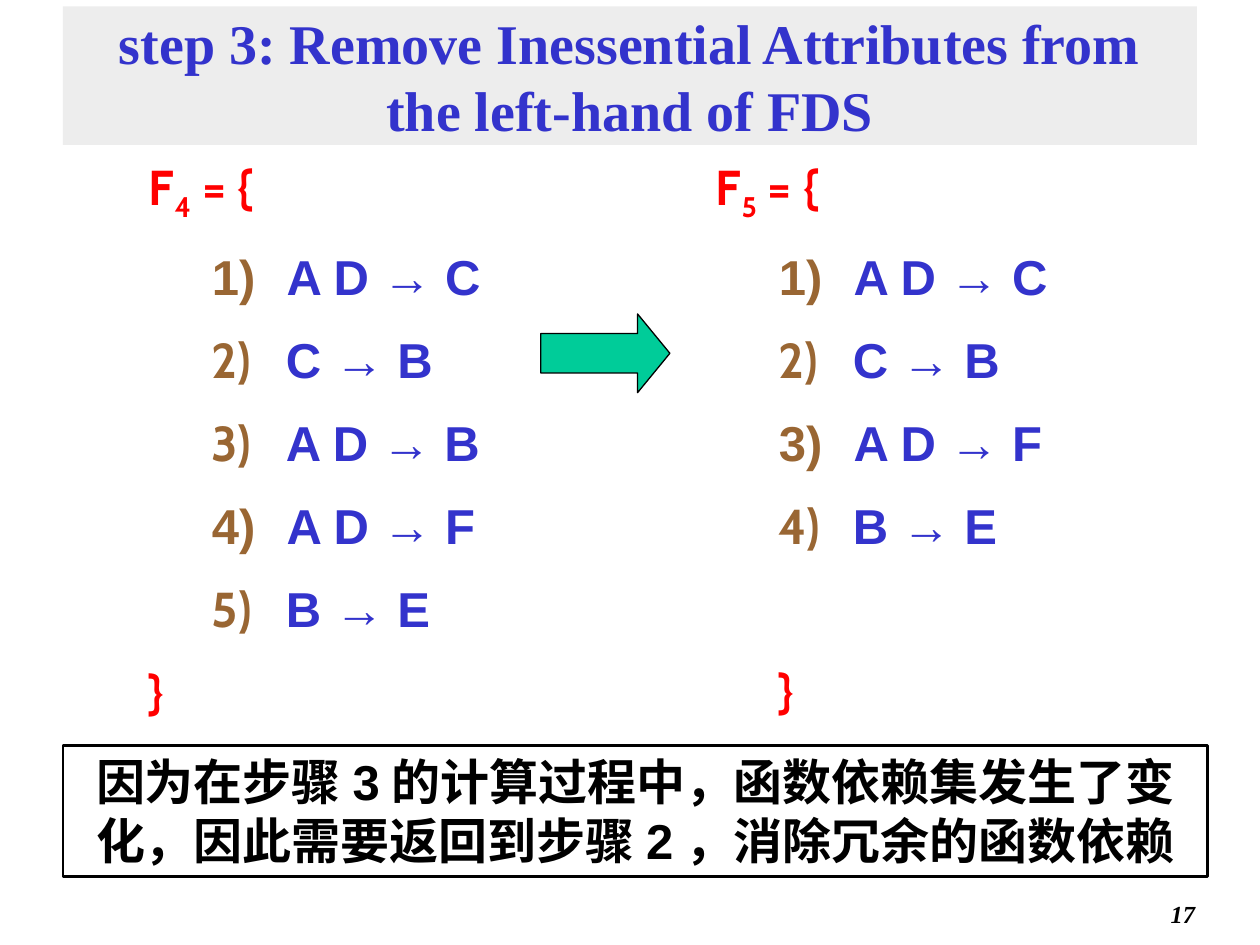
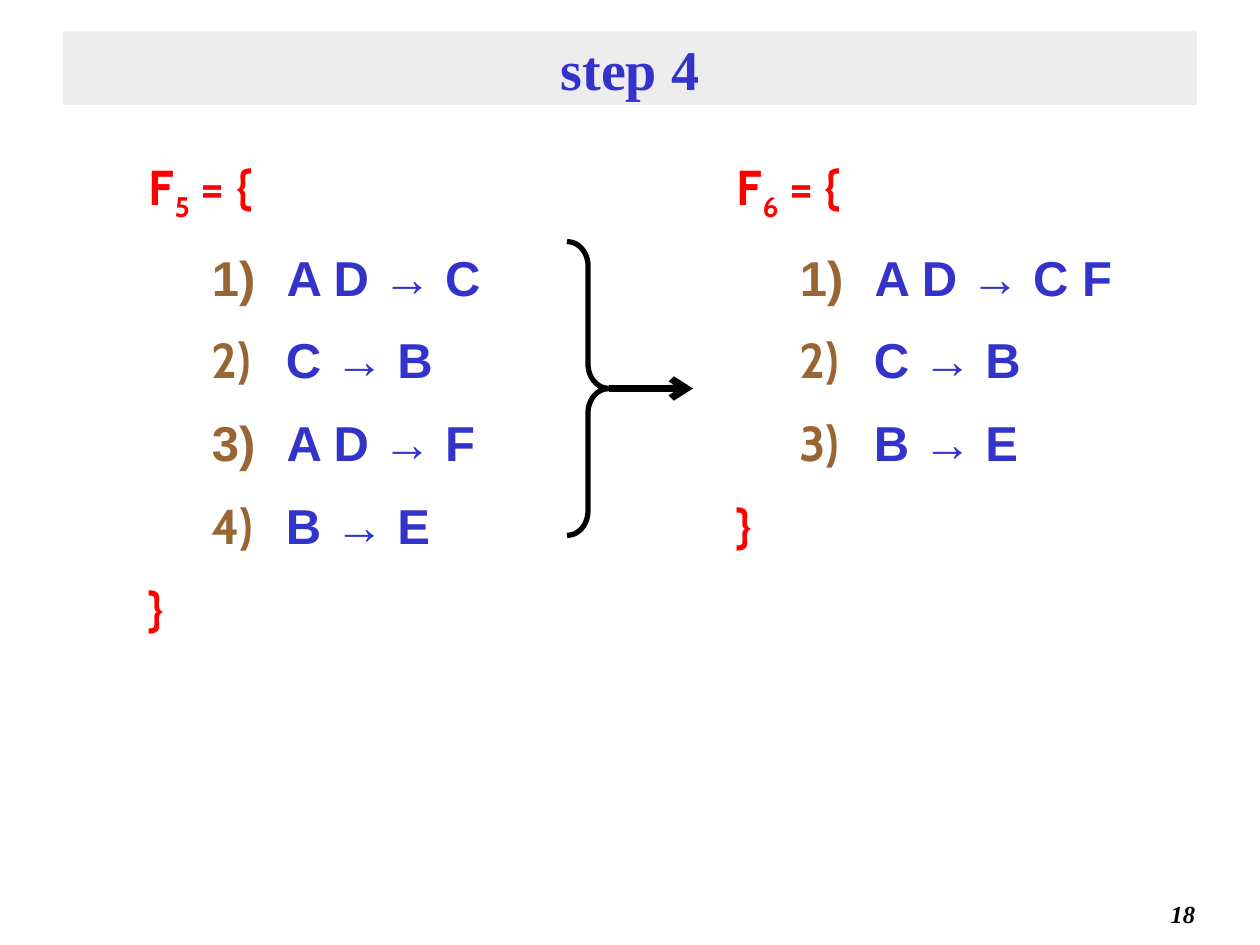
import pptx
import pptx.util
import pptx.dml.color
import pptx.enum.shapes
import pptx.enum.text
import pptx.oxml.ns
from dataclasses import dataclass
from lxml import etree

Pt = pptx.util.Pt
SHAPE = pptx.enum.shapes.MSO_SHAPE
ALIGN = pptx.enum.text.PP_ALIGN
ANCHOR = pptx.enum.text.MSO_ANCHOR


@dataclass(frozen=True)
class Theme:
    """Colours, fonts and sizes shared by the slides."""
    blue: str = "3333CC"
    red: str = "FF0000"
    brown: str = "996633"
    green: str = "00CC99"
    band: str = "DDDDDD"
    black: str = "000000"
    white: str = "FFFFFF"
    serif: str = "Times New Roman"
    sans: str = "Arial"
    label: str = "Cabin"
    title_size: int = 32
    body_size: int = 28
    page_size: int = 14
    line_spacing: float = 1.2
    gap: int = 7


THEME = Theme()


def grid(n):
    """Return the length of n grid cells, twelve to the inch."""
    return pptx.util.Inches(n / 12)


def rgb(color):
    """Return a colour from its hex digits."""
    return pptx.dml.color.RGBColor.from_string(color)


def sub(parent, tag, **attrs):
    """Append a DrawingML element to parent."""
    return etree.SubElement(parent, pptx.oxml.ns.qn("a:" + tag), attrs)


def add_run(p, text, font, size, color, italic=False):
    """Add one bold run to a paragraph."""
    r = p.add_run()
    r.text = text
    r.font.name, r.font.size = font, Pt(size)
    r.font.bold, r.font.italic = True, italic
    r.font.color.rgb = rgb(color)
    return r


def add_shape(slide, kind, box, fill=None, line=None, width=1):
    """Add a plain preset shape on the grid."""
    sp = slide.shapes.add_shape(kind, *map(grid, box))
    sp.shadow.inherit = False
    if fill:
        sp.fill.solid()
        sp.fill.fore_color.rgb = rgb(fill)
    else:
        sp.fill.background()
    if line:
        sp.line.color.rgb = rgb(line)
        sp.line.width = Pt(width)
    else:
        sp.line.fill.background()
    return sp


def add_textbox(slide, box):
    """Add a wrapping text box and return its text frame."""
    tf = slide.shapes.add_textbox(*map(grid, box)).text_frame
    tf.word_wrap = True
    return tf


def add_title(slide, text, top, height):
    """Add the title on its half transparent band."""
    sp = add_shape(slide, SHAPE.RECTANGLE, (6, top, 108, height), THEME.band)
    color = sp._element.spPr.find(".//" + pptx.oxml.ns.qn("a:srgbClr"))
    sub(color, "alpha", val="50000")
    tf = sp.text_frame
    tf.word_wrap = True
    tf.vertical_anchor = ANCHOR.MIDDLE
    p = tf.paragraphs[0]
    p.alignment = ALIGN.CENTER
    add_run(p, text, THEME.serif, THEME.title_size, THEME.blue)


def add_page_number(slide, number):
    """Add the page number at the lower right."""
    p = add_textbox(slide, (90, 85, 25, 4)).paragraphs[0]
    p.alignment = ALIGN.RIGHT
    add_run(p, str(number), THEME.serif, THEME.page_size, THEME.black, True)


def format_line(p, left, hanging=6, before=THEME.gap):
    """Set the spacing and indent of a line in a dependency set."""
    p.line_spacing = THEME.line_spacing
    p.space_before = Pt(before)
    pPr = p._p.get_or_add_pPr()
    pPr.set("marL", str(grid(left)))
    pPr.set("indent", str(-grid(hanging)))
    return pPr


def add_dependency_set(slide, box, index, rules, sans_numbers, brace=(6, THEME.gap)):
    """Add a named set of numbered functional dependencies."""
    tf = add_textbox(slide, box)
    p = tf.paragraphs[0]
    format_line(p, 6, before=0)
    for text in ("F", index, " = {"):
        r = add_run(p, text, THEME.label, THEME.body_size, THEME.red)
        if text == index:
            r._r.get_or_add_rPr().set("baseline", "-25000")
    for number, rule in enumerate(rules, 1):
        p = tf.add_paragraph()
        p.level = 1
        pPr = format_line(p, 12)
        sub(sub(pPr, "buClr"), "srgbClr", val=THEME.brown)
        sub(pPr, "buAutoNum", type="arabicParenR")
        font = THEME.sans if number in sans_numbers else THEME.label
        add_run(p, " ", font, THEME.body_size, THEME.blue)
        add_run(p, rule, THEME.sans, THEME.body_size, THEME.blue)
    p = tf.add_paragraph()
    hanging, before = brace
    format_line(p, 6, hanging, before)
    add_run(p, "}", THEME.label, THEME.body_size, THEME.red)


def add_note(slide, text):
    """Add the framed note under the sets."""
    sp = add_shape(slide, SHAPE.RECTANGLE, (6, 71, 109, 12.5),
                   THEME.white, THEME.black, 1.5)
    tf = sp.text_frame
    tf.word_wrap = True
    tf.vertical_anchor = ANCHOR.TOP
    p = tf.paragraphs[0]
    p.alignment = ALIGN.CENTER
    add_run(p, text, THEME.sans, THEME.body_size, THEME.black)


def add_block_arrow(slide):
    """Add the green arrow between the sets."""
    sp = add_shape(slide, SHAPE.RIGHT_ARROW, (51.5, 29.9, 12.3, 7.5),
                   THEME.green, THEME.black, 0.75)
    sp.adjustments[0], sp.adjustments[1] = 0.5, 0.41


def add_brace_arrow(slide):
    """Add the brace that gathers a set, and the arrow from its tip."""
    sp = add_shape(slide, SHAPE.RIGHT_BRACE, (54, 23, 4, 28), line=THEME.black, width=3)
    sp.adjustments[0] = 0.58
    line = slide.shapes.add_connector(pptx.enum.shapes.MSO_CONNECTOR.STRAIGHT,
                                      *map(grid, (58, 37, 66, 37)))
    line.line.color.rgb = rgb(THEME.black)
    line.line.width = Pt(4)
    sub(line.line._get_or_add_ln(), "tailEnd", type="arrow")
    sub(line._element.spPr, "effectLst")


def main():
    """Build the two slides."""
    prs = pptx.Presentation()
    prs.slide_width, prs.slide_height = grid(120), grid(90)
    blank = prs.slide_layouts[6]
    reduced = ["A D → C", "C → B", "A D → F", "B → E"]

    s = prs.slides.add_slide(blank)
    add_dependency_set(s, (13, 13, 41, 72), "4",
                       ["A D → C", "C → B", "A D → B", "A D → F", "B → E"], {1, 4})
    add_dependency_set(s, (67, 13, 41, 72), "5", reduced, {1, 3}, brace=(0, 54))
    add_note(s, "因为在步骤3的计算过程中，函数依赖集发生了变化，"
                "因此需要返回到步骤2，消除冗余的函数依赖")
    add_block_arrow(s)
    add_title(s, "step 3: Remove Inessential Attributes from the left-hand of FDS", 0.6, 13.2)
    add_page_number(s, 17)

    s = prs.slides.add_slide(blank)
    add_title(s, "step 4", 3, 7)
    add_dependency_set(s, (13, 13, 41, 74), "5", reduced, {1, 3})
    add_dependency_set(s, (69, 13, 46, 69), "6", ["A D → C F", "C → B", "B → E"], {1})
    add_brace_arrow(s)
    add_page_number(s, 18)

    prs.save("out.pptx")


if __name__ == "__main__":
    main()
